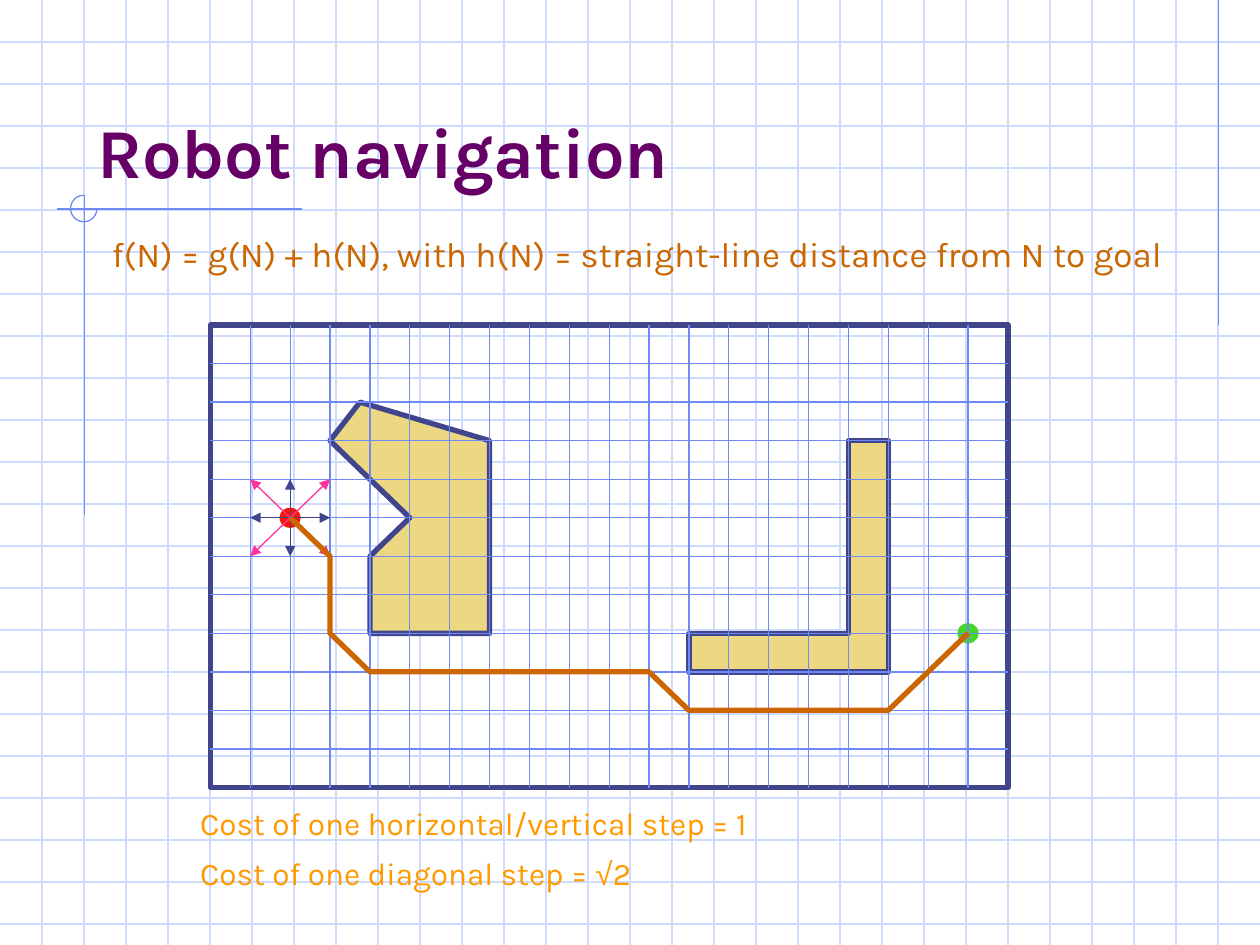
from lxml import etree
from pptx import Presentation
from pptx.dml.color import RGBColor
from pptx.enum.shapes import MSO_CONNECTOR, MSO_SHAPE
from pptx.enum.text import MSO_ANCHOR, MSO_AUTO_SIZE, PP_ALIGN
from pptx.oxml.ns import qn
from pptx.util import Inches, Pt

STRAIGHT = MSO_CONNECTOR.STRAIGHT
RECTANGLE, OVAL, ARC = MSO_SHAPE.RECTANGLE, MSO_SHAPE.OVAL, MSO_SHAPE.ARC
BOTTOM, TOP = MSO_ANCHOR.BOTTOM, MSO_ANCHOR.TOP
LEFT = PP_ALIGN.LEFT
NO_AUTOFIT = MSO_AUTO_SIZE.NONE

FONT = "Karla"
PALE, BLUE, NAVY = "CFDBFD", "6F89F7", "40458C"
PURPLE, ORANGE, AMBER = "660066", "CC6600", "FF9900"
SAND, RED, GREEN, PINK = "ECD882", "F81706", "45D628", "FF3399"

PAGE_WIDTH, PAGE_HEIGHT = 10, 7.5
COLUMNS, ROWS = 20, 12

# Positions on the board, in cells from its top left corner
ROBOT, GOAL = (2, 5), (19, 8)
NOTCHED_OBSTACLE = [(3, 3), (5, 5), (4, 6), (4, 8), (7, 8), (7, 3), (3.75, 2)]
L_OBSTACLE = [(12, 8), (12, 9), (17, 9), (17, 3), (16, 3), (16, 8)]
ROUTE = [ROBOT, (3, 6), (3, 8), (4, 9), (11, 9), (12, 10), (17, 10), GOAL]
MOVES = [  # from, to, colour, arrowhead at both ends
    ((2, 5), (2, 4), NAVY, False),
    ((2, 5), (2, 6), NAVY, False),
    ((1, 5), (3, 5), NAVY, True),
    ((3, 4), (1, 6), PINK, True),
    ((1, 4), (3, 6), PINK, True),
]


def color(hex_code):
    return RGBColor.from_string(hex_code)


def style(shape, line, width=0.75, fill=None):
    shape.shadow.inherit = False
    shape.line.color.rgb = color(line)
    shape.line.width = Pt(width)
    if fill:
        shape.fill.solid()
        shape.fill.fore_color.rgb = color(fill)
    else:
        shape.fill.background()


def add_line(page, start, end, hex_code, arrow_ends=()):
    """Draw a thin line; arrow_ends may hold headEnd and tailEnd."""
    line = page.shapes.add_connector(STRAIGHT, *map(Inches, (*start, *end)))
    line.line.color.rgb = color(hex_code)
    line.line.width = Pt(0.75)
    properties = line._element.spPr
    for name in arrow_ends:
        etree.SubElement(properties.find(qn("a:ln")), qn(f"a:{name}"), type="triangle")
    etree.SubElement(properties, qn("a:effectLst"))
    return line


def add_path(page, points, line, fill=None, close=True):
    corners = [(Inches(x), Inches(y)) for x, y in points]
    builder = page.shapes.build_freeform(*corners[0], scale=1.0)
    builder.add_line_segments(corners[1:], close=close)
    style(builder.convert_to_shape(), line, 3, fill)


def set_frame(frame, anchor):
    frame.word_wrap = True
    frame.auto_size = NO_AUTOFIT
    frame.vertical_anchor = anchor
    frame.margin_left = frame.margin_right = Inches(0.1)
    frame.margin_top = frame.margin_bottom = Inches(0.05)


def add_span(para, text, size, hex_code, font=FONT, bold=False):
    span = para.add_run()
    span.text = text
    span.font.name = font
    span.font.size = Pt(size)
    span.font.bold = bold
    span.font.color.rgb = color(hex_code)


def add_text_box(page, box):
    frame = page.shapes.add_textbox(*map(Inches, box)).text_frame
    set_frame(frame, TOP)
    return frame


def add_graph_paper(page, width, height):
    step = 1 / 3
    for index in range(1, int(height / step) + 1):
        add_line(page, (0, index * step), (width, index * step), PALE)
    for index in range(1, int(width / step)):
        add_line(page, (index * step, 0), (index * step, height), PALE)


def add_margin_marks(page):
    add_line(page, (9.67, 0), (9.67, 2.58), BLUE)
    add_line(page, (2.4, 1.66), (0.45, 1.66), BLUE)
    add_line(page, (0.67, 1.55), (0.67, 4.09), BLUE)
    ring = page.shapes.add_shape(ARC, *map(Inches, (0.56, 1.55, 0.21, 0.21)))
    ring.adjustments[0] = 0
    ring.adjustments[1] = 162  # 270 degrees
    style(ring, BLUE)


def add_title(page, box):
    title = page.shapes.title
    title.left, title.top, title.width, title.height = map(Inches, box)
    set_frame(title.text_frame, BOTTOM)
    para = title.text_frame.paragraphs[0]
    para.alignment = LEFT
    add_span(para, "Robot navigation", 40, PURPLE, bold=True)
    page.shapes._spTree.append(title._element)  # in front of the graph paper


def add_costs(page, box):
    frame = add_text_box(page, box)
    add_span(frame.paragraphs[0], "Cost of one horizontal/vertical step = 1", 18, AMBER)
    para = frame.add_paragraph()
    para.space_before = Pt(7)
    add_span(para, "Cost of one diagonal step = ", 18, AMBER)
    add_span(para, "√", 18, AMBER, font="Arial")
    add_span(para, "2", 18, AMBER)


def add_formula(page, box):
    formula = "f(N) = g(N) + h(N), with h(N) = straight-line distance from N to goal"
    add_span(add_text_box(page, box).paragraphs[0], formula, 20, ORANGE)


def add_board(page, box):
    """Draw the walled grid with its obstacles, possible moves and route."""
    left, top, width, height = box

    def place(cell):
        return left + cell[0] * width / COLUMNS, top + cell[1] * height / ROWS

    def add_dot(cell, hex_code):
        x, y = place(cell)
        dot = page.shapes.add_shape(
            OVAL, *map(Inches, (x - 0.08, y - 0.075, 0.16, 0.15)))
        style(dot, hex_code, fill=hex_code)

    wall = page.shapes.add_shape(RECTANGLE, *map(Inches, box))
    style(wall, NAVY, 3)
    for obstacle in (NOTCHED_OBSTACLE, L_OBSTACLE):
        add_path(page, map(place, obstacle), NAVY, SAND)
    add_dot(ROBOT, RED)
    add_dot(GOAL, GREEN)

    for row in range(1, ROWS):
        line = add_line(page, place((0, row)), place((COLUMNS, row)), BLUE)
        if row * 2 == ROWS:
            line.begin_connect(wall, 1)
            line.end_connect(wall, 3)
    for column in range(1, COLUMNS):
        line = add_line(page, place((column, 0)), place((column, ROWS)), BLUE)
        if column * 2 == COLUMNS:
            line.begin_connect(wall, 0)
            line.end_connect(wall, 2)

    for start, end, hex_code, both in MOVES:
        arrow_ends = ("headEnd", "tailEnd") if both else ("tailEnd",)
        add_line(page, place(start), place(end), hex_code, arrow_ends)
    add_path(page, map(place, ROUTE), ORANGE, close=False)


def main():
    deck = Presentation()
    deck.slide_width, deck.slide_height = Inches(PAGE_WIDTH), Inches(PAGE_HEIGHT)
    page = deck.slides.add_slide(deck.slide_layouts[5])
    add_graph_paper(page, PAGE_WIDTH, PAGE_HEIGHT)
    add_margin_marks(page)
    add_title(page, (0.67, 0.33, 8.5, 1.25))
    add_costs(page, (1.49, 6.33, 4.72, 0.8))
    add_board(page, (1.67, 2.58, 6.33, 3.67))
    add_formula(page, (0.79, 1.8, 8.74, 0.44))
    deck.save("out.pptx")


if __name__ == "__main__":
    main()
